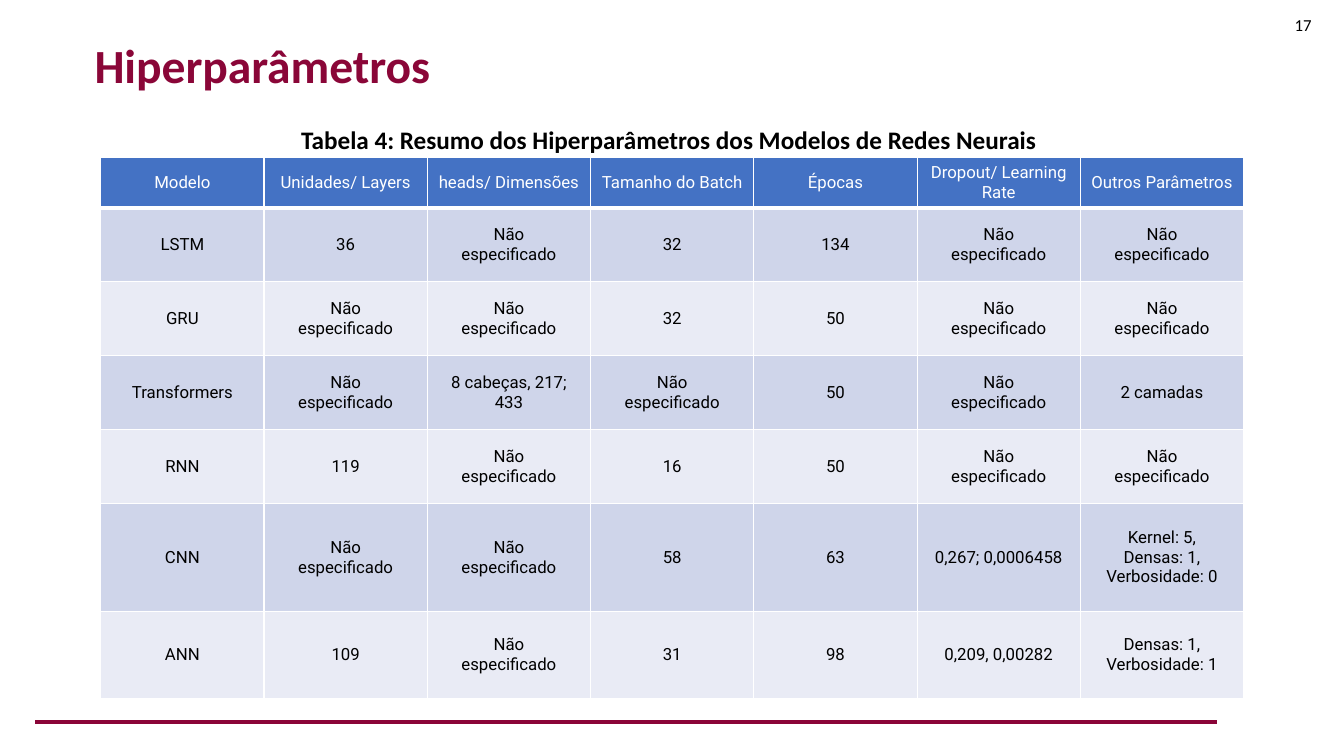
import lxml.etree
import pptx
import pptx.dml.color
import pptx.enum.shapes
import pptx.enum.text
import pptx.oxml.ns
import pptx.util

Pt = pptx.util.Pt
Align = pptx.enum.text.PP_ALIGN
Anchor = pptx.enum.text.MSO_ANCHOR

COLOURS = {
    "wine": "8A0638",
    "rule": "8A0538",
    "black": "000000",
    "white": "FFFFFF",
    "header": "4472C4",
    "odd": "CFD5EA",
    "even": "E9EBF5",
}

TITLE = {"size": Pt(34), "name": "Calibri", "bold": True}
CAPTION = {"size": Pt(18), "name": "Calibri", "bold": True}
NUMBER = {"size": Pt(12), "name": "Calibri", "bold": False}
CELL = {"size": Pt(12), "name": "Roboto", "bold": False}

MISSING = "Não especificado"
HEADINGS = ["Modelo", "Unidades/ Layers", "heads/ Dimensões", "Tamanho do Batch",
            "Épocas", "Dropout/ Learning Rate", "Outros Parâmetros"]
MODELS = [
    ["LSTM", "36", MISSING, "32", "134", MISSING, MISSING],
    ["GRU", MISSING, MISSING, "32", "50", MISSING, MISSING],
    ["Transformers", MISSING, "8 cabeças, 217; 433", MISSING, "50", MISSING, "2 camadas"],
    ["RNN", "119", MISSING, "16", "50", MISSING, MISSING],
    ["CNN", MISSING, MISSING, "58", "63", "0,267; 0,0006458",
     "Kernel: 5, Densas: 1, Verbosidade: 0"],
    ["ANN", "109", MISSING, "31", "98", "0,209, 0,00282", "Densas: 1, Verbosidade: 1"],
]
ROW_HEIGHTS = [36, 52.2, 52.2, 52.2, 52.2, 77.2, 62]


def colour(key):
    return pptx.dml.color.RGBColor.from_string(COLOURS[key])


def write(frame, text, font_values, colour_key, align):
    para = frame.paragraphs[0]
    para.alignment = align
    span = para.add_run()
    span.text = text
    for name, value in font_values.items():
        setattr(span.font, name, value)
    span.font.color.rgb = colour(colour_key)
    return para


def add_text(page, box, text, font_values, colour_key, align, anchor):
    frame = page.shapes.add_textbox(*map(Pt, box)).text_frame
    frame.word_wrap = True
    frame.vertical_anchor = anchor
    return write(frame, text, font_values, colour_key, align)


def add_heading(page, box):
    para = add_text(page, box, "Hiperparâmetros", TITLE, "wine", Align.LEFT, Anchor.BOTTOM)
    para.line_spacing = 0.8


def add_page_number(page, box):
    add_text(page, box, "17", NUMBER, "black", Align.RIGHT, Anchor.MIDDLE)


def add_caption(page, box):
    add_text(page, box, "Tabela 4: Resumo dos Hiperparâmetros dos Modelos de Redes Neurais",
             CAPTION, "black", Align.LEFT, Anchor.TOP)


def add_footer_rule(page, box):
    left, top, width = box
    rule = page.shapes.add_connector(pptx.enum.shapes.MSO_CONNECTOR.STRAIGHT,
                                     Pt(left), Pt(top), Pt(left + width), Pt(top))
    rule.line.color.rgb = colour("rule")
    rule.line.width = Pt(3)
    lxml.etree.SubElement(rule._element.spPr, pptx.oxml.ns.qn("a:effectLst"))


def set_borders(cell, widths):
    properties = cell._tc.get_or_add_tcPr()
    for position, (side, width) in enumerate(widths.items()):
        line = lxml.etree.Element(pptx.oxml.ns.qn("a:ln" + side), w=str(Pt(width)))
        fill = lxml.etree.SubElement(line, pptx.oxml.ns.qn("a:solidFill"))
        lxml.etree.SubElement(fill, pptx.oxml.ns.qn("a:srgbClr"), val=COLOURS["white"])
        properties.insert(position, line)


def fill_cell(cell, text, row):
    is_header = row == 0
    cell.vertical_anchor = Anchor.MIDDLE
    if not is_header:
        for side in ("left", "top", "right", "bottom"):
            setattr(cell, "margin_" + side, Pt(12))
    cell.fill.solid()
    cell.fill.fore_color.rgb = colour("header" if is_header else "odd" if row % 2 else "even")
    write(cell.text_frame, text, CELL, "white" if is_header else "black", Align.CENTER)
    set_borders(cell, {"L": 1, "R": 1, "T": 3 if row == 1 else 1, "B": 3 if is_header else 1})


def add_model_table(page, box):
    rows = [HEADINGS] + MODELS
    table = page.shapes.add_table(len(rows), len(HEADINGS), *map(Pt, box)).table
    table.first_row = False
    table.horz_banding = False
    for column in table.columns:
        column.width = Pt(box[2] / len(HEADINGS))
    for row, texts in enumerate(rows):
        table.rows[row].height = Pt(ROW_HEIGHTS[row])
        for column, text in enumerate(texts):
            fill_cell(table.cell(row, column), text, row)


def main():
    deck = pptx.Presentation()
    deck.slide_width, deck.slide_height = Pt(960), Pt(540)
    page = deck.slides.add_slide(deck.slide_layouts[6])
    add_footer_rule(page, (25.2, 515.5, 843.8))
    add_heading(page, (60.5, 0, 816.5, 69.8))
    add_page_number(page, (728, 3, 216, 28.8))
    add_model_table(page, (72, 112.3, 816.5, sum(ROW_HEIGHTS)))
    add_caption(page, (208, 85, 543.6, 28.8))
    deck.save("out.pptx")


if __name__ == "__main__":
    main()
